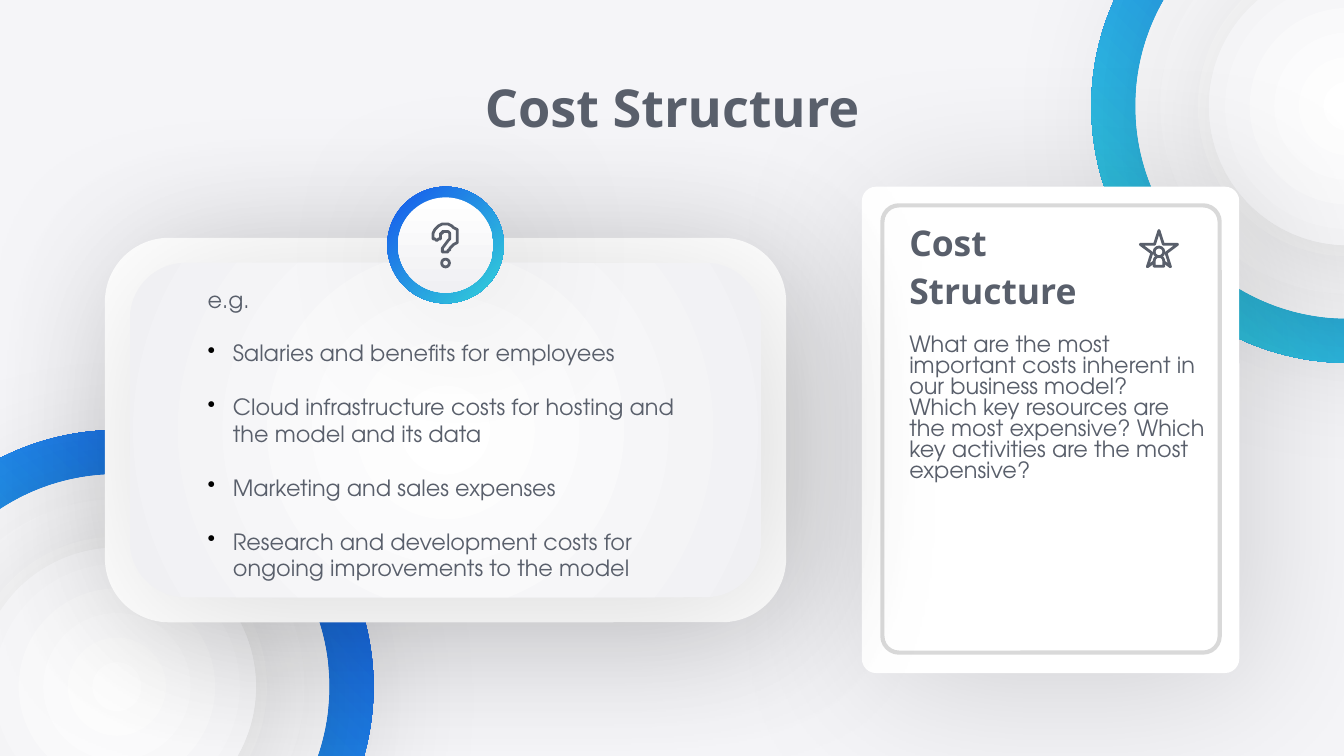
from math import cos, radians, sin

from pptx import Presentation
from pptx.dml.color import RGBColor
from pptx.enum.shapes import MSO_SHAPE
from pptx.enum.text import MSO_ANCHOR, PP_ALIGN
from pptx.oxml import parse_xml
from pptx.oxml.ns import nsdecls, qn
from pptx.util import Pt

BACKGROUND = RGBColor(0xF5, 0xF5, 0xF8)
WHITE = RGBColor(0xFF, 0xFF, 0xFF)
PALE = RGBColor(0xF0, 0xF0, 0xF3)
BLUE = RGBColor(0x16, 0x58, 0xF1)
CYAN = RGBColor(0x36, 0xDB, 0xE0)
SLATE = RGBColor(0x59, 0x5F, 0x6B)
FRAME_GREY = RGBColor(0xD9, 0xD9, 0xD9)

HEADING_FONT = "Noto Sans"
BODY_FONT = "TeX Gyre Adventor"
NO_GRID_STYLE = "{2D5ABB26-0587-4C30-8999-92F81FD0307C}"

COSTS = [
    "Salaries and benefits for employees",
    "Cloud infrastructure costs for hosting and the model and its data",
    "Marketing and sales expenses",
    "Research and development costs for ongoing improvements to the model",
]
QUESTIONS = [
    "What are the most important costs inherent in our business model?",
    "Which key resources are the most expensive? Which key activities are the most expensive?",
]


def add_plain_shape(slide, kind, box, fill=None, line=None, width=0):
    shape = slide.shapes.add_shape(kind, *(Pt(value) for value in box))
    style_shape(shape, fill, line, width)
    return shape


def style_shape(shape, fill, line, width):
    shape.shadow.inherit = False
    if fill is None:
        shape.fill.background()
    else:
        shape.fill.solid()
        shape.fill.fore_color.rgb = fill
    if line is None:
        shape.line.fill.background()
    else:
        shape.line.color.rgb = line
        shape.line.width = Pt(width)


def set_gradient(shape, first, last, angle=None):
    """Linear gradient at a clockwise angle, or radial from the centre without one."""
    shape.fill.gradient()
    for stop, color in zip(shape.fill.gradient_stops, (first, last)):
        stop.color.rgb = color
    if angle is not None:
        shape.fill.gradient_angle = 360 - angle
        return
    gradient = shape._element.spPr.find(qn("a:gradFill"))
    gradient.replace(gradient.find(qn("a:lin")), parse_xml(
        f'<a:path {nsdecls("a")} path="circle">'
        '<a:fillToRect l="50000" t="50000" r="50000" b="50000"/></a:path>'))


def add_soft_shadow(shape):
    shape._element.spPr.find(qn("a:effectLst")).append(parse_xml(
        f'<a:outerShdw {nsdecls("a")} blurRad="{Pt(85)}" dist="{Pt(11.2)}" dir="2700000" '
        'algn="tl" rotWithShape="0"><a:srgbClr val="000000"><a:alpha val="15000"/>'
        '</a:srgbClr></a:outerShdw>'))


def inset(box, gap):
    left, top, width, height = box
    return left + gap, top + gap, width - 2 * gap, height - 2 * gap


def centred(x, y, radius):
    return x - radius, y - radius, 2 * radius, 2 * radius


def add_run(paragraph, text, font, size, bold=False):
    run = paragraph.add_run()
    run.text = text
    run.font.name = font
    run.font.size = Pt(size)
    run.font.bold = bold
    run.font.color.rgb = SLATE


def add_text_frame(slide, box):
    frame = slide.shapes.add_textbox(*(Pt(value) for value in box)).text_frame
    frame.word_wrap = True
    frame.margin_top = frame.margin_bottom = Pt(7.2)
    return frame


def add_corner_rings(slide, box):
    for gap in (0, 23.75, 63):
        circle = add_plain_shape(slide, MSO_SHAPE.OVAL, inset(box, gap), WHITE)
        circle.rotation = 90
        if gap == 0:
            set_gradient(circle, BLUE, CYAN, 45)
        else:
            set_gradient(circle, WHITE, PALE)
            add_soft_shadow(circle)


def add_title(slide, box):
    frame = add_text_frame(slide, box)
    frame.vertical_anchor = MSO_ANCHOR.MIDDLE
    paragraph = frame.paragraphs[0]
    paragraph.alignment = PP_ALIGN.CENTER
    add_run(paragraph, "Cost Structure", HEADING_FONT, 28, True)


def add_star_icon(slide, box):
    left, top, width, height = box
    x, y = left + width / 2, top + height / 2
    add_plain_shape(slide, MSO_SHAPE.STAR_5_POINT, box, None, SLATE, 1.5)
    add_plain_shape(slide, MSO_SHAPE.ROUND_2_SAME_RECTANGLE, (x - 2.6, y + 4, 5.2, 5.4),
                    WHITE, SLATE, 1.5).adjustments[0] = 0.5
    add_plain_shape(slide, MSO_SHAPE.OVAL, centred(x, y + 1.7, 2.6), WHITE, SLATE, 1.5)


def add_question_card(slide, box):
    left, top, width, height = box
    card = add_plain_shape(slide, MSO_SHAPE.ROUNDED_RECTANGLE, box, WHITE)
    card.adjustments[0] = 0.038
    add_soft_shadow(card)
    frame_box = (left + 11, top + 10, width - 21.5, height - 21)
    frame = add_plain_shape(slide, MSO_SHAPE.ROUNDED_RECTANGLE, frame_box, None, FRAME_GREY, 2.25)
    frame.adjustments[0] = 0.049

    table_box = (*frame_box[:3], 175)
    table = slide.shapes.add_table(1, 1, *(Pt(value) for value in table_box)).table
    table.first_row = table.horz_banding = False
    table._tbl.tblPr.find(qn("a:tableStyleId")).text = NO_GRID_STYLE
    cell = table.cell(0, 0)
    cell.fill.background()
    cell.margin_left = Pt(14.4)
    cell.margin_right = cell.margin_top = cell.margin_bottom = Pt(7.2)
    paragraph = cell.text_frame.paragraphs[0]
    for word in ("Cost", "Structure"):
        add_run(paragraph, word, HEADING_FONT, 19, True)
        paragraph = cell.text_frame.add_paragraph()
    paragraph.space_before = Pt(11)
    add_run(paragraph, QUESTIONS[0], BODY_FONT, 12)
    paragraph.line_spacing = Pt(11.25)
    paragraph = cell.text_frame.add_paragraph()
    add_run(paragraph, QUESTIONS[1], BODY_FONT, 12)
    paragraph.line_spacing = Pt(11.25)
    add_star_icon(slide, (left + width - 53, top + 23.5, 20, 19.5))


def add_cost_list(slide, box):
    frame = add_text_frame(slide, box)
    paragraph = frame.paragraphs[0]
    add_run(paragraph, "e.g.", BODY_FONT, 12)
    for cost in COSTS:
        paragraph.space_after = Pt(14.4)
        paragraph = frame.add_paragraph()
        add_run(paragraph, cost, BODY_FONT, 12)
        properties = paragraph._p.get_or_add_pPr()
        properties.set("marL", str(Pt(13.5)))
        properties.set("indent", str(-Pt(13.5)))
        properties.append(parse_xml(
            f'<a:buClr {nsdecls("a")}><a:srgbClr val="000000"/></a:buClr>'))
        properties.append(parse_xml(f'<a:buChar {nsdecls("a")} char="•"/>'))


def arc(x, y, radius, start, end):
    steps = 16
    angles = [radians(start + (end - start) * step / steps) for step in range(steps + 1)]
    return [(x + radius * cos(angle), y + radius * sin(angle)) for angle in angles]


def add_question_badge(slide, box):
    left, top, width, height = box
    x, y = left + width / 2, top + height / 2
    rim = add_plain_shape(slide, MSO_SHAPE.OVAL, box, BLUE)
    set_gradient(rim, BLUE, CYAN, 45)
    face = add_plain_shape(slide, MSO_SHAPE.OVAL, inset(box, 5.75), WHITE)
    set_gradient(face, WHITE, PALE, 90)
    add_soft_shadow(face)

    hook_y = y - 4.7
    points = (arc(x, hook_y, 6.7, 180, 420) + arc(x, y + 1.8, 2.1, 0, 180)
              + arc(x, hook_y, 2.6, 420, 180) + arc(x - 4.65, hook_y, 2.05, 0, 180))
    builder = slide.shapes.build_freeform(*points[0], scale=Pt(1))
    builder.add_line_segments(points[1:], close=True)
    style_shape(builder.convert_to_shape(), None, SLATE, 1.5)
    add_plain_shape(slide, MSO_SHAPE.OVAL, centred(x, y + 9.7, 2.1), None, SLATE, 1.5)


def add_cost_panel(slide, box):
    left, top, width, height = box
    add_soft_shadow(add_plain_shape(slide, MSO_SHAPE.ROUNDED_RECTANGLE, box, WHITE))
    panel = add_plain_shape(slide, MSO_SHAPE.ROUNDED_RECTANGLE, inset(box, 13.4), WHITE)
    set_gradient(panel, WHITE, PALE)
    add_soft_shadow(panel)
    add_question_badge(slide, (left + width / 2 - 31.25, top - 27.4, 62.5, 62.5))
    add_cost_list(slide, (left + 48, top + 18.5, 268.5, 170))


def main():
    presentation = Presentation()
    presentation.slide_width, presentation.slide_height = Pt(720), Pt(405)
    slide = presentation.slides.add_slide(presentation.slide_layouts[6])
    slide.background.fill.solid()
    slide.background.fill.fore_color.rgb = BACKGROUND
    add_corner_rings(slide, (584.6, -80.6, 275, 275))
    add_corner_rings(slide, (-74.9, 230.4, 275, 275))
    add_question_card(slide, (461.7, 100, 202.2, 260.6))
    add_cost_panel(slide, (56.2, 127.4, 365, 206))
    add_title(slide, (56.2, 42.5, 607.6, 29.5))
    presentation.save("out.pptx")


if __name__ == "__main__":
    main()
